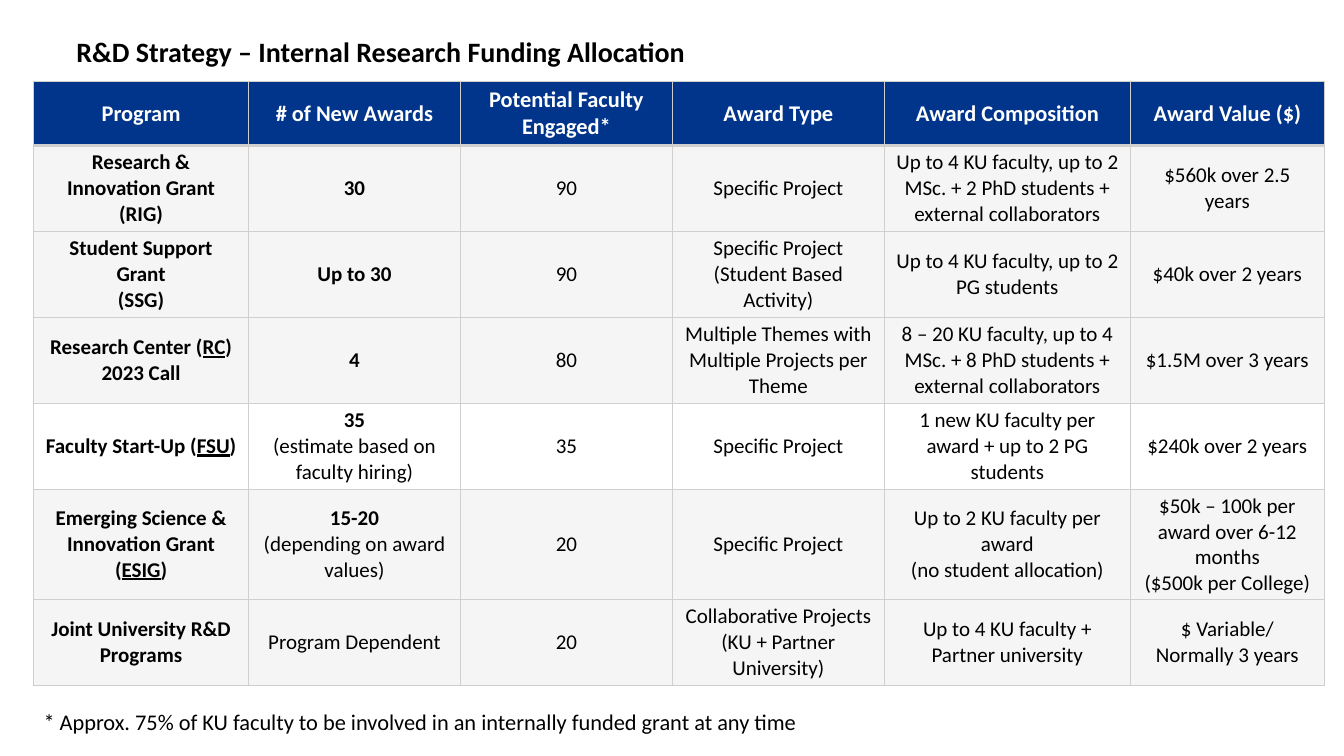
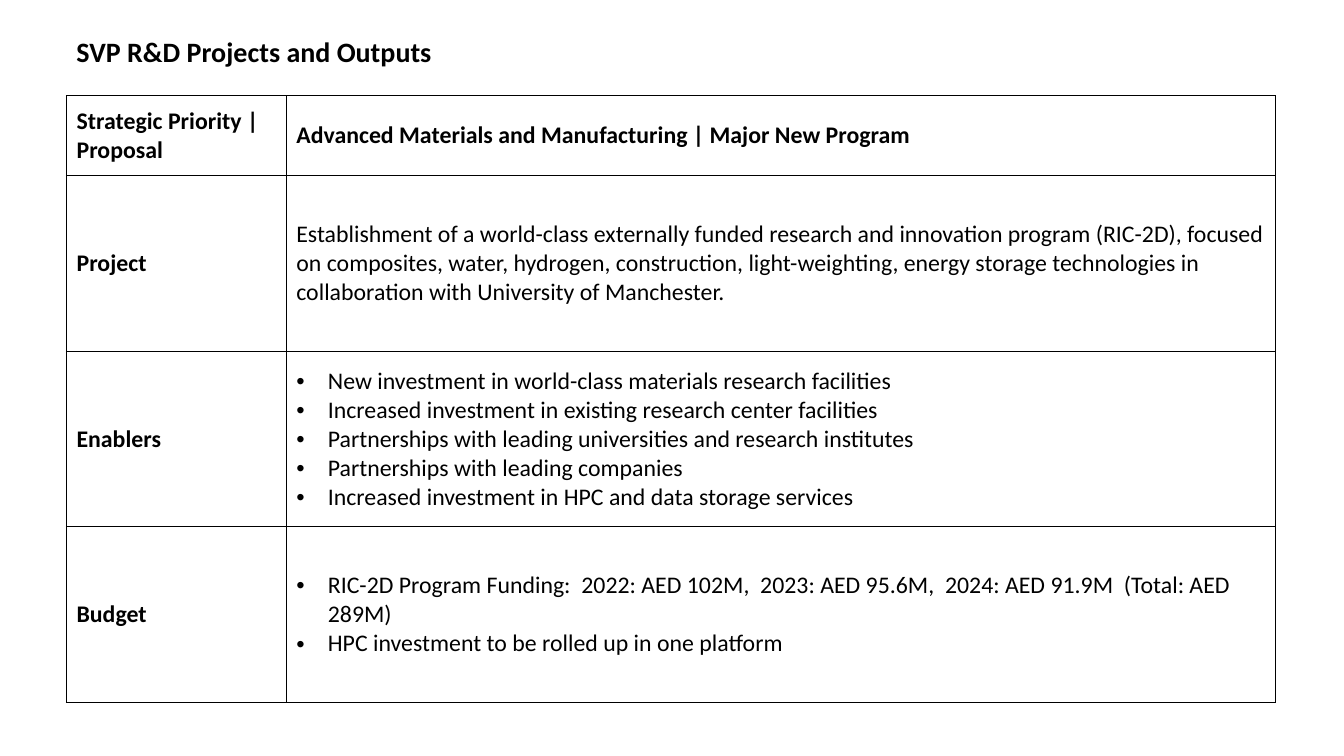
"""Build two slides of tables on research funding and project outputs."""
from pptx import Presentation
from pptx.dml.color import RGBColor
from pptx.enum.text import MSO_ANCHOR, MSO_AUTO_SIZE, PP_ALIGN
from pptx.oxml.ns import qn
from pptx.util import Pt
from lxml import etree

MIDDLE = MSO_ANCHOR.MIDDLE
GROW = MSO_AUTO_SIZE.SHAPE_TO_FIT_TEXT
LEFT, CENTER = PP_ALIGN.LEFT, PP_ALIGN.CENTER

BLACK = RGBColor(0x00, 0x00, 0x00)
WHITE = RGBColor(0xFF, 0xFF, 0xFF)
NAVY = RGBColor(0x00, 0x35, 0x8B)
GREY = RGBColor(0xD0, 0xCF, 0xCD)
FONT = "Calibri"
BULLET_INDENT = Pt(22.5)

FUNDING_TITLE = "R&D Strategy – Internal Research Funding Allocation"
FUNDING_HEADER = ["Program", "# of New Awards", "Potential Faculty Engaged*",
                  "Award Type", "Award Composition", "Award Value ($)"]
FUNDING_ROWS = [
    ["Research & Innovation Grant (RIG)", "30", "90", "Specific Project",
     "Up to 4 KU faculty, up to 2 MSc. + 2 PhD students + external collaborators",
     "$560k over 2.5 years"],
    ["Student Support Grant\n(SSG)", "Up to 30", "90",
     "Specific Project\n(Student Based Activity)",
     "Up to 4 KU faculty, up to 2 PG students", "$40k over 2 years"],
    ["Research Center (_RC_)\n2023 Call", "4", "80",
     "Multiple Themes with Multiple Projects per Theme",
     "8 – 20 KU faculty, up to 4 MSc. + 8 PhD students + external collaborators",
     "$1.5M over 3 years"],
    ["Faculty Start-Up (_FSU_)", "35\n(estimate based on faculty hiring)", "35",
     "Specific Project", "1 new KU faculty per award + up to 2 PG students",
     "$240k over 2 years"],
    ["Emerging Science & Innovation Grant (_ESIG_)",
     "15-20\n(depending on award values)", "20", "Specific Project",
     "Up to 2 KU faculty per award\n(no student allocation)",
     "$50k – 100k per award over 6-12 months\n($500k per College)"],
    ["Joint University R&D Programs", "Program Dependent", "20",
     "Collaborative Projects (KU + Partner University)",
     "Up to 4 KU faculty + Partner university", "$ Variable/ Normally 3 years"],
]
FUNDING_WIDTHS = [153.5, 151.4, 151.4, 151.4, 175.7, 138.6]
FUNDING_HEIGHTS = [45.7, 61.4, 61.4, 61.4, 61.4, 78.8, 61.4]
UNSHADED_PROGRAM = "Faculty Start-Up"
FOOTNOTE = ("* Approx. 75% of KU faculty to be involved in an internally funded "
            "grant at any time")

OUTPUTS_TITLE = "SVP R&D Projects and Outputs"
OUTPUTS_ROWS = [
    ("Strategic Priority | Proposal",
     "Advanced Materials and Manufacturing | Major New Program"),
    ("Project",
     "Establishment of a world-class externally funded research and innovation "
     "program (RIC-2D), focused on composites, water, hydrogen, construction, "
     "light-weighting, energy storage technologies in collaboration with "
     "University of Manchester."),
    ("Enablers", [
        "New investment in world-class materials research facilities",
        "Increased investment in existing research center facilities",
        "Partnerships with leading universities and research institutes",
        "Partnerships with leading companies",
        "Increased investment in HPC and data storage services"]),
    ("Budget", [
        "RIC-2D Program Funding:  2022: AED 102M,  2023: AED 95.6M,  "
        "2024: AED 91.9M  (Total: AED 289M)",
        "HPC investment to be rolled up in one platform"]),
]
OUTPUTS_WIDTHS = [157, 706.5]
OUTPUTS_HEIGHTS = [57, 125.5, 125.5, 125.5]


def apply(target, settings):
    """Set each named attribute on the target."""
    for name, value in settings.items():
        setattr(target, name, value)


def write_paragraph(paragraph, text, size, color=BLACK, bold=False, align=LEFT):
    """Write one paragraph, underlining what stands between underscores."""
    paragraph.alignment = align
    for index, part in enumerate(text.split("_")):
        run = paragraph.add_run()
        run.text = part
        apply(run.font, {"name": FONT, "size": Pt(size), "bold": bold,
                         "underline": index % 2 == 1})
        run.font.color.rgb = color


def add_bullet(paragraph):
    """Give the paragraph a hanging round bullet."""
    properties = paragraph._p.get_or_add_pPr()
    properties.set("marL", str(BULLET_INDENT))
    properties.set("indent", str(-BULLET_INDENT))
    etree.SubElement(properties, qn("a:buFont"), typeface="Arial")
    etree.SubElement(properties, qn("a:buChar"), char="•")


def add_text(slide, text, box, size, bold=False, wrap=True):
    """Add a one-line text box."""
    frame = slide.shapes.add_textbox(*map(Pt, box)).text_frame
    apply(frame, {"word_wrap": wrap, "auto_size": GROW})
    write_paragraph(frame.paragraphs[0], text, size, bold=bold)


def add_titled_slide(deck, title):
    """Add a blank slide with the shared title."""
    slide = deck.slides.add_slide(deck.slide_layouts[6])
    add_text(slide, title, (47.5, 21, 863.5, 31.5), 20, bold=True)
    return slide


def add_grid(slide, left, top, widths, heights):
    """Add a table with the given column widths and row heights."""
    table = slide.shapes.add_table(
        len(heights), len(widths), Pt(left), Pt(top),
        Pt(sum(widths)), Pt(sum(heights))).table
    table.horz_banding = False
    for column, width in zip(table.columns, widths):
        column.width = Pt(width)
    for row, height in zip(table.rows, heights):
        row.height = Pt(height)
    return table


def style_cell(cell, border, fill=None, opacity=100, top=1, bottom=1):
    """Set the cell's borders, fill and anchor."""
    apply(cell, {"vertical_anchor": MIDDLE, "margin_top": Pt(3),
                 "margin_bottom": Pt(3)})
    properties = cell._tc.get_or_add_tcPr()
    for side, width in {"L": 1, "R": 1, "T": top, "B": bottom}.items():
        line = etree.SubElement(properties, qn(f"a:ln{side}"), w=str(Pt(width)))
        solid = etree.SubElement(line, qn("a:solidFill"))
        etree.SubElement(solid, qn("a:srgbClr"), val=str(border))
    if fill is None:
        cell.fill.background()
        return
    cell.fill.solid()
    cell.fill.fore_color.rgb = fill
    if opacity < 100:
        shade = properties.find(qn("a:solidFill")).find(qn("a:srgbClr"))
        etree.SubElement(shade, qn("a:alpha"), val=str(opacity * 1000))


def write_cell(cell, lines, bullets=False, bold_rule=lambda line: False, **style):
    """Write the lines as paragraphs of the cell."""
    frame = cell.text_frame
    for index, line in enumerate(lines):
        paragraph = frame.add_paragraph() if index else frame.paragraphs[0]
        if bullets:
            add_bullet(paragraph)
        write_paragraph(paragraph, line, bold=bold_rule(line), **style)


def build_funding(deck):
    """Build the funding allocation slide."""
    slide = add_titled_slide(deck, FUNDING_TITLE)
    table = add_grid(slide, 24, 58.2, FUNDING_WIDTHS, FUNDING_HEIGHTS)
    for column, heading in enumerate(FUNDING_HEADER):
        cell = table.cell(0, column)
        style_cell(cell, GREY, NAVY, bottom=2)
        write_cell(cell, [heading], bold_rule=lambda line: True,
                   size=16, color=WHITE, align=CENTER)
    bold_rules = {0: lambda line: True,
                  1: lambda line: any(map(str.isdigit, line))}
    for row, entries in enumerate(FUNDING_ROWS, 1):
        fill = None if entries[0].startswith(UNSHADED_PROGRAM) else GREY
        for column, entry in enumerate(entries):
            cell = table.cell(row, column)
            style_cell(cell, GREY, fill, opacity=20, top=2 if row == 1 else 1)
            write_cell(cell, entry.split("\n"), size=15, align=CENTER,
                       bold_rule=bold_rules.get(column, lambda line: False))
    add_text(slide, FOOTNOTE, (24, 502, 558.5, 26.5), 16, wrap=False)


def build_outputs(deck):
    """Build the projects and outputs slide."""
    slide = add_titled_slide(deck, OUTPUTS_TITLE)
    table = add_grid(slide, 47.5, 68.4, OUTPUTS_WIDTHS, OUTPUTS_HEIGHTS)
    for row, entries in enumerate(OUTPUTS_ROWS):
        for column, entry in enumerate(entries):
            cell = table.cell(row, column)
            style_cell(cell, BLACK)
            bullets = isinstance(entry, list)
            heading = row == 0 or column == 0
            write_cell(cell, entry if bullets else [entry], bullets,
                       lambda line: heading, size=17)


def main():
    """Build and save the deck."""
    deck = Presentation()
    apply(deck, {"slide_width": Pt(960), "slide_height": Pt(540)})
    build_funding(deck)
    build_outputs(deck)
    deck.save("out.pptx")


if __name__ == "__main__":
    main()
